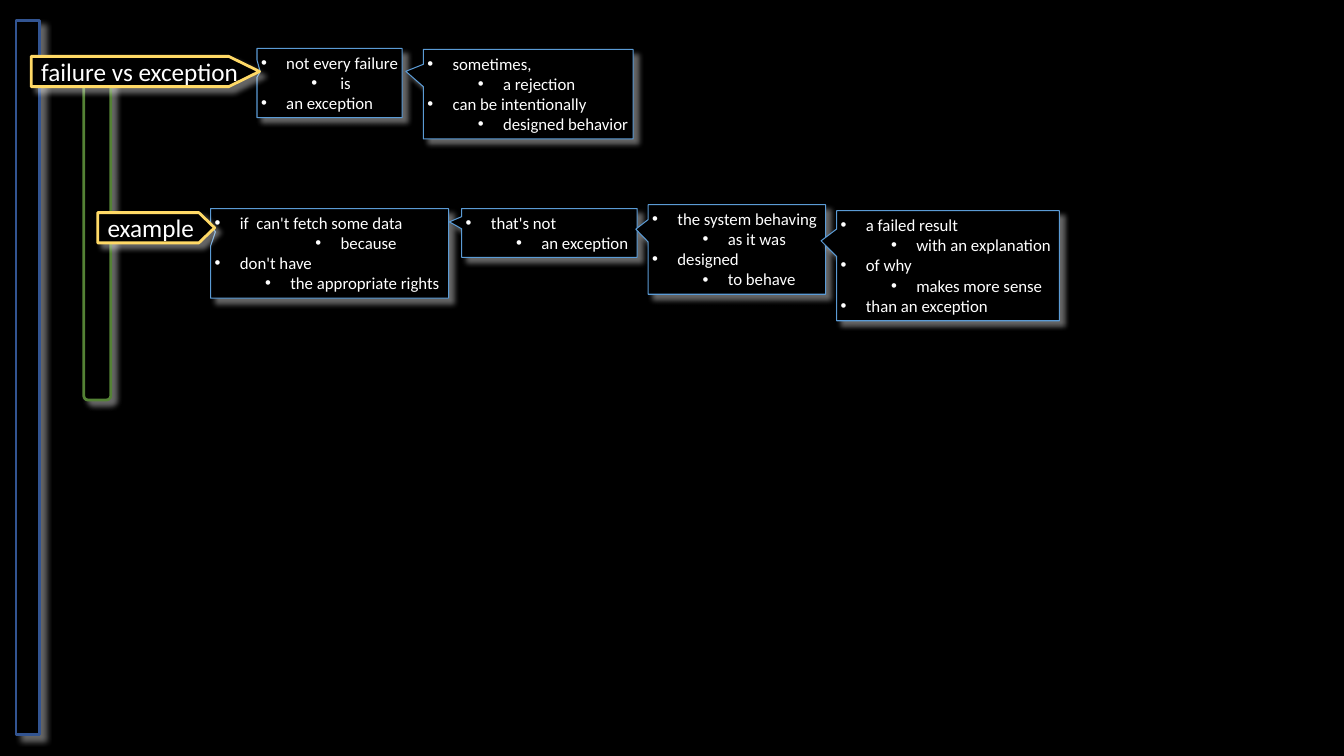
from dataclasses import dataclass

from lxml import etree
from pptx import Presentation
from pptx.dml.color import RGBColor
from pptx.enum.shapes import MSO_SHAPE
from pptx.enum.text import MSO_ANCHOR, MSO_AUTO_SIZE, PP_ALIGN
from pptx.oxml.ns import qn
from pptx.util import Pt

RECT, ROUND_RECT = MSO_SHAPE.RECTANGLE, MSO_SHAPE.ROUNDED_RECTANGLE
CALLOUT = MSO_SHAPE.RECTANGULAR_CALLOUT
TOP, MIDDLE = MSO_ANCHOR.TOP, MSO_ANCHOR.MIDDLE
GROW, LEFT = MSO_AUTO_SIZE.SHAPE_TO_FIT_TEXT, PP_ALIGN.LEFT


@dataclass(frozen=True)
class Theme:
    font: str = "Calibri"
    note_size: float = 12
    tag_size: float = 18
    ground: str = "000000"
    text: str = "FFFFFF"
    shadow: str = "FFFFFF"
    chapter: str = "325491"
    section: str = "548235"
    note: str = "5B9BD5"
    tag: str = "FFD966"


@dataclass(frozen=True)
class Bar:
    kind: MSO_SHAPE
    x: float
    y: float
    w: float
    h: float
    color: str


@dataclass(frozen=True)
class Note:
    x: float
    y: float
    w: float
    pointer: tuple[float, float]
    lines: tuple[tuple[int, str], ...]  # (level, text)


@dataclass(frozen=True)
class Tag:
    x: float
    y: float
    w: float
    tip: float
    text: str


THEME = Theme()
LINE_HEIGHT, NOTE_PADDING, NOTE_INSET = 14.6, 5.6, 2.88
TAG_HEIGHT = 21.6
BULLET_HANG, LEVEL_STEP = 18, 36

BARS = (
    Bar(RECT, 11.5, 14.4, 16.5, 510.5, THEME.chapter),
    Bar(ROUND_RECT, 59.8, 43.2, 19.4, 242.6, THEME.section),
)
NOTES = (
    Note(183.6, 34.6, 103.7, (-0.478, -0.164),
         ((0, "not every failure"), (1, " is"), (0, "an exception"))),
    Note(302.4, 35.3, 149.8, (-0.584, -0.255),
         ((0, "sometimes,"), (1, "a rejection"),
          (0, "can be intentionally"), (1, "designed behavior"))),
    Note(150.5, 149, 169.9, (-0.48, -0.238),
         ((0, "if  can't fetch some data"), (2, "because"),
          (0, "don't have"), (1, "the appropriate rights"))),
    Note(329.8, 149, 125.3, (-0.57, -0.226),
         ((0, "that's not"), (1, "an exception"))),
    Note(463, 146.2, 126.7, (-0.57, -0.226),
         ((0, "the system behaving"), (1, "as it was"),
          (0, "designed"), (1, "to behave"))),
    Note(597.6, 150.5, 159.1, (-0.57, -0.226),
         ((0, "a failed result"), (1, "with an explanation"), (0, "of why"),
          (1, "makes more sense"), (0, "than an exception"))),
)
TAGS = (
    Tag(22.3, 40.3, 163.1, 22, "failure vs exception"),
    Tag(69.8, 151.9, 83.5, 11.2, "example"),
)


def style(sp, color: str, width: float) -> None:
    """Dark fill, coloured outline and a soft light shadow."""
    sp.fill.solid()
    sp.fill.fore_color.rgb = RGBColor.from_string(THEME.ground)
    sp.line.color.rgb = RGBColor.from_string(color)
    sp.line.width = Pt(width)
    sp.shadow.inherit = False
    effects = sp._element.spPr.find(qn("a:effectLst"))
    shadow = etree.SubElement(effects, qn("a:outerShdw"), blurRad=str(Pt(4)),
                              dist=str(Pt(5)), dir="2700000", algn="tl", rotWithShape="0")
    tint = etree.SubElement(shadow, qn("a:srgbClr"), val=THEME.shadow)
    etree.SubElement(tint, qn("a:alpha"), val="40000")


def frame(sp, anchor: MSO_ANCHOR, insets: tuple[float, float, float, float]):
    tf = sp.text_frame
    tf.word_wrap = False
    tf.auto_size = GROW
    tf.vertical_anchor = anchor
    tf.margin_left, tf.margin_top, tf.margin_right, tf.margin_bottom = map(Pt, insets)
    return tf


def write(p, text: str, size: float) -> None:
    p.alignment = LEFT
    r = p.add_run()
    r.text = text
    r.font.name = THEME.font
    r.font.size = Pt(size)
    r.font.color.rgb = RGBColor.from_string(THEME.text)


def add_bullet(p, level: int) -> None:
    p.level = level
    pPr = p._p.get_or_add_pPr()
    pPr.set("marL", str(Pt(BULLET_HANG + LEVEL_STEP * level)))
    pPr.set("indent", str(-Pt(BULLET_HANG)))
    etree.SubElement(pPr, qn("a:buFont"), typeface="Arial")
    etree.SubElement(pPr, qn("a:buChar"), char="•")


def draw_bar(s, bar: Bar) -> None:
    sp = s.shapes.add_shape(bar.kind, Pt(bar.x), Pt(bar.y), Pt(bar.w), Pt(bar.h))
    style(sp, bar.color, 2)


def draw_note(s, note: Note) -> None:
    height = LINE_HEIGHT * len(note.lines) + NOTE_PADDING
    sp = s.shapes.add_shape(CALLOUT, Pt(note.x), Pt(note.y), Pt(note.w), Pt(height))
    sp.adjustments[0], sp.adjustments[1] = note.pointer
    style(sp, THEME.note, 0.75)
    tf = frame(sp, TOP, (NOTE_INSET,) * 4)
    for i, (level, text) in enumerate(note.lines):
        p = tf.add_paragraph() if i else tf.paragraphs[0]
        add_bullet(p, level)
        write(p, text, THEME.note_size)


def draw_tag(s, tag: Tag) -> None:
    right, bottom = tag.x + tag.w, tag.y + TAG_HEIGHT
    shoulder = right - tag.tip
    outline = ((shoulder, tag.y), (right, tag.y + TAG_HEIGHT / 2),
               (shoulder, bottom), (tag.x, bottom))
    builder = s.shapes.build_freeform(Pt(tag.x), Pt(tag.y))
    builder.add_line_segments([(Pt(x), Pt(y)) for x, y in outline], close=True)
    sp = builder.convert_to_shape()
    style(sp, THEME.tag, 2)
    tf = frame(sp, MIDDLE, (7.2, 0, 14.4, 0))
    write(tf.paragraphs[0], tag.text, THEME.tag_size)


def main() -> None:
    prs = Presentation()
    prs.slide_width, prs.slide_height = Pt(960), Pt(540)
    s = prs.slides.add_slide(prs.slide_layouts[6])
    s.background.fill.solid()
    s.background.fill.fore_color.rgb = RGBColor.from_string(THEME.ground)

    # Vertical bars behind the rows
    for bar in BARS:
        draw_bar(s, bar)
    # Bulleted callouts
    for note in NOTES:
        draw_note(s, note)
    # Pointed row labels
    for tag in TAGS:
        draw_tag(s, tag)

    prs.save("out.pptx")


if __name__ == "__main__":
    main()
